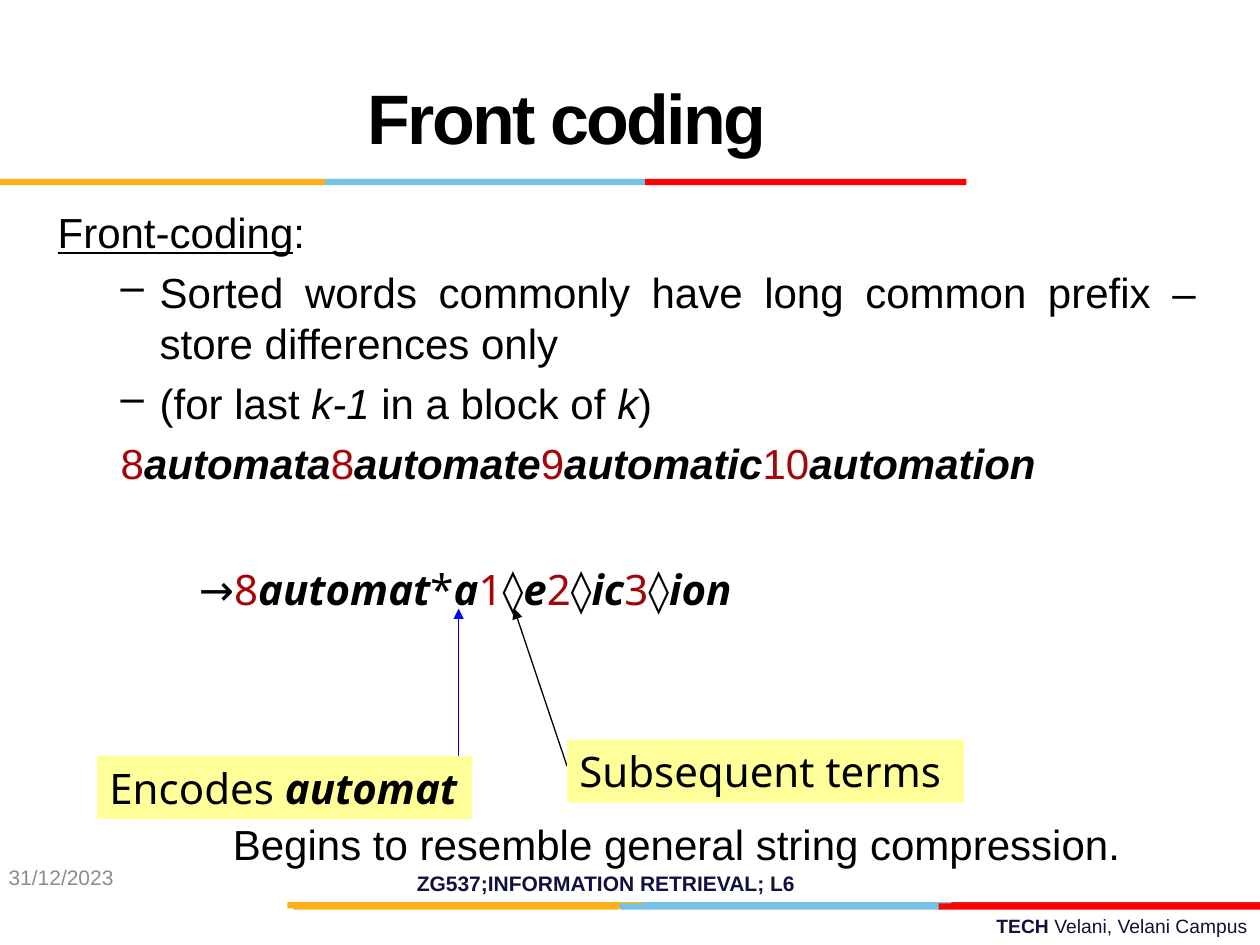
from lxml import etree
from pptx import Presentation
from pptx.dml.color import RGBColor
from pptx.enum import shapes, text
from pptx.oxml import ns
from pptx.util import Inches, Pt

COLORS = {
    "black": "000000", "white": "FFFFFF", "maroon": "A40508", "navy": "101141",
    "grey": "8C8C8C", "note": "FFFF99", "blue": "0000FF", "gold": "FCB017",
    "sky": "76C2E5", "crimson": "E31C24", "red": "FF0000",
}
ALIGN = text.PP_ALIGN

deck = Presentation()
deck.slide_width, deck.slide_height = Inches(10), Inches(7.5)
COLUMN, ROW = deck.slide_width / 100, deck.slide_height / 75
page = deck.slides.add_slide(deck.slide_layouts[5])


def grid(left, top, width, height):
    return (round(left * COLUMN), round(top * ROW), round(width * COLUMN), round(height * ROW))


def write(para, spans, font="Arial", size=24, align=ALIGN.LEFT):
    para.alignment = align
    for words, color, style in spans:
        span = para.add_run()
        span.text = words
        span.font.name, span.font.size = font, Pt(size)
        span.font.color.rgb = RGBColor.from_string(COLORS[color])
        span.font.bold, span.font.italic = "b" in style, "i" in style
        span.font.underline = "u" in style


stripes = [
    (50.6, 71.6, 25.5, "sky"), (75.5, 71.6, 24.5, "crimson"), (22.8, 71.6, 28.2, "gold"),
    (49.2, 71.7, 25.5, "sky"), (23.3, 71.7, 25.8, "gold"), (74.5, 71.7, 25.5, "red"),
    (25.8, 14.2, 25.5, "sky"), (0, 14.2, 25.8, "gold"), (51.2, 14.2, 25.5, "red"),
]
for left, top, width, color in stripes:
    stripe = page.shapes.add_shape(shapes.MSO_SHAPE.RECTANGLE, *grid(left, top, width, 0.5))
    stripe.shadow.inherit = False
    stripe.fill.solid()
    stripe.fill.fore_color.rgb = RGBColor.from_string(COLORS[color])
    stripe.line.fill.background()

title = page.shapes.title
title.left, title.top, title.width, title.height = grid(0, 3, 90, 12.5)
title.text_frame.vertical_anchor = text.MSO_ANCHOR.MIDDLE
write(title.text_frame.paragraphs[0], [("Front coding", "black", "b")], size=40, align=ALIGN.CENTER)
title.text_frame.paragraphs[0].runs[0].font._element.set("spc", "-150")

dictionary = []
for length, word in [("8", "automata"), ("8", "automate"), ("9", "automatic"), ("10", "automation")]:
    dictionary += [(length, "maroon", ""), (word, "black", "bi")]
points = [
    ("", 0.38, -0.38, [("Front-coding", "black", "u"), (":", "black", "")]),
    ("–", 0.81, -0.31, [
        ("Sorted words commonly have long common prefix – store differences only", "black", "")]),
    ("–", 0.81, -0.31, [
        ("(for last ", "black", ""), ("k-1", "black", "i"), (" in a block of ", "black", ""),
        ("k", "black", "i"), (")", "black", "")]),
    ("", 0.81, -0.31, dictionary),
]
body = page.shapes.add_textbox(*grid(3.6, 15.9, 92.3, 49.5)).text_frame
body.word_wrap = True
for index, (bullet, margin, indent, spans) in enumerate(points):
    para = body.add_paragraph() if index else body.paragraphs[0]
    write(para, spans, align=ALIGN.JUSTIFY)
    para.space_before = Pt(5.5)
    layout = para._p.get_or_add_pPr()
    layout.set("marL", str(Inches(margin)))
    layout.set("indent", str(Inches(indent)))
    if bullet:
        etree.SubElement(layout, ns.qn("a:buChar")).set("char", bullet)

arrows = [((36.4, 60.8), (36.4, 48.3), "blue", 1), ((45, 60.8), (40.8, 48.3), "black", 0.75)]
for start, end, color, weight in arrows:
    arrow = page.shapes.add_connector(
        shapes.MSO_CONNECTOR.STRAIGHT, *grid(*start, *end))
    arrow.line.color.rgb = RGBColor.from_string(COLORS[color])
    arrow.line.width = Pt(weight)
    etree.SubElement(arrow.line._get_or_add_ln(), ns.qn("a:tailEnd")).set("type", "triangle")
    etree.SubElement(arrow._element.spPr, ns.qn("a:effectLst"))

encoded = [("→", "black", ""), ("8", "maroon", ""), ("automat", "black", "bi"),
           ("*", "black", ""), ("a", "black", "bi")]
for length, ending in [("1", "e"), ("2", "ic"), ("3", "ion")]:
    encoded += [(length, "maroon", ""), ("◊", "black", ""), (ending, "black", "bi")]
TOP, MIDDLE = text.MSO_ANCHOR.TOP, text.MSO_ANCHOR.MIDDLE
labels = [
    ((14.8, 44.2, 47.2, 5), None, TOP, ALIGN.LEFT, "Noto Sans", 24, encoded),
    ((7.7, 60, 29.8, 5), "note", TOP, ALIGN.LEFT, "Noto Sans", 24,
     [("Encodes ", "black", ""), ("automat", "black", "bi")]),
    ((45, 58.7, 31.5, 5), "note", TOP, ALIGN.LEFT, "Noto Sans", 24,
     [("Subsequent terms", "black", "")]),
    ((17.5, 64.5, 72.5, 5), None, TOP, ALIGN.LEFT, "Arial", 24,
     [("Begins to resemble general string compression.", "black", "")]),
    ((-0.3, 67.6, 23.3, 4), None, MIDDLE, ALIGN.LEFT, "Arial", 12, [("31/12/2023", "grey", "")]),
    ((28.3, 68.1, 39.6, 4), None, MIDDLE, ALIGN.CENTER, "Arial", 12,
     [("ZG537;INFORMATION RETRIEVAL; L6", "navy", "b")]),
    ((35.8, 72.1, 64.2, 2.9), None, TOP, ALIGN.RIGHT, "Arial", 11,
     [("TECH ", "navy", "b"), ("Velani, Velani Campus", "navy", "")]),
]
for cell, fill, anchor, align, font, size, spans in labels:
    box = page.shapes.add_textbox(*grid(*cell))
    if fill:
        box.fill.solid()
        box.fill.fore_color.rgb = RGBColor.from_string(COLORS[fill])
    frame = box.text_frame
    frame.word_wrap = True
    frame.vertical_anchor = anchor
    if align == ALIGN.LEFT:
        frame.margin_right = 0
    write(frame.paragraphs[0], spans, font, size, align)

deck.save("out.pptx")
